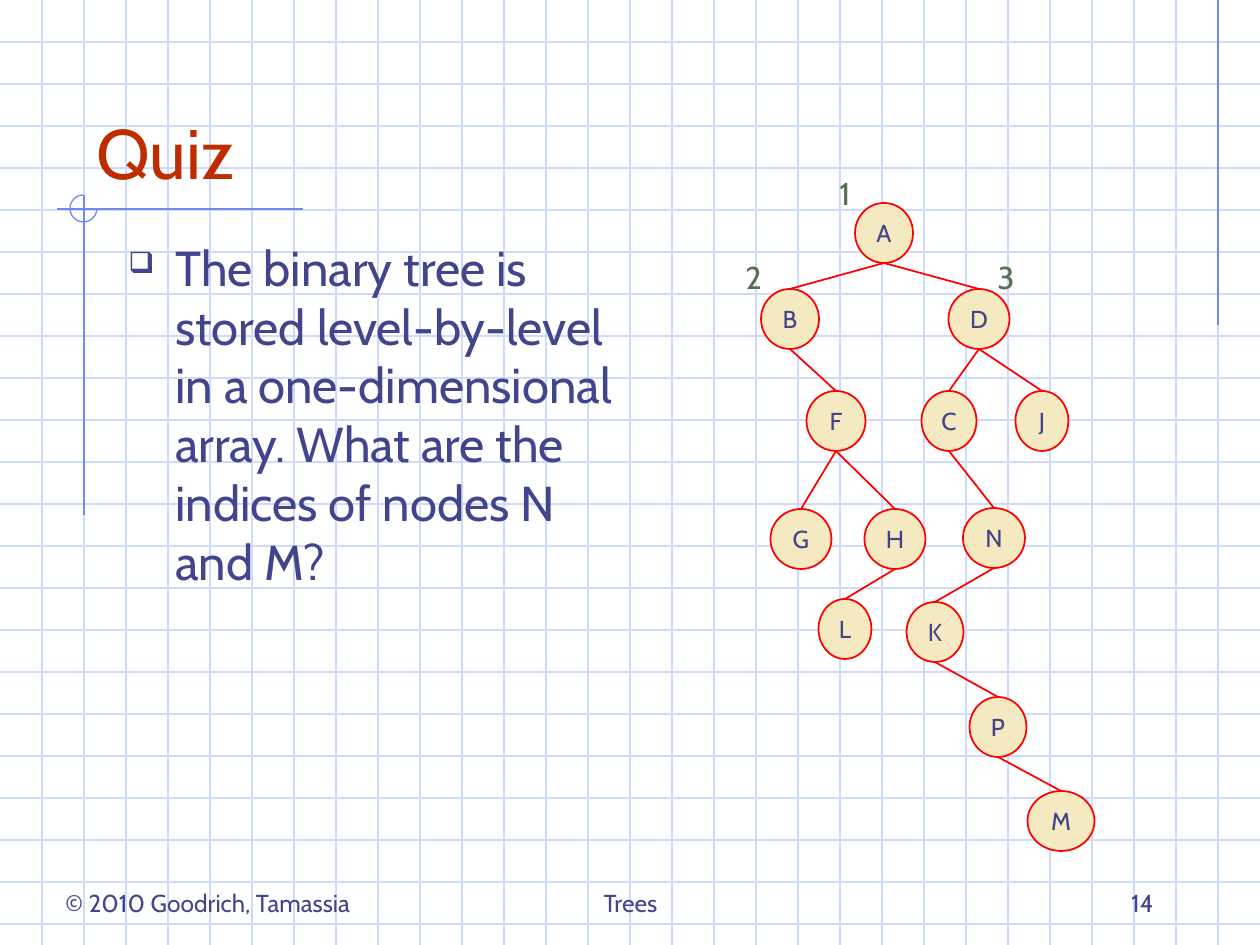
from lxml.etree import SubElement
from pptx import Presentation
from pptx.dml.color import RGBColor
from pptx.enum.shapes import MSO_CONNECTOR, MSO_SHAPE
from pptx.enum.text import MSO_ANCHOR, PP_ALIGN
from pptx.oxml.ns import qn
from pptx.util import Pt

SCALE = 914400 / 126
WIDTH, HEIGHT = 1260, 945
GRID_STEP = 42
NODE_HEIGHT = 60
FONT = "Cabin"

COLORS = {
    "grid": "CFDBFD",
    "accent": "6F89F7",
    "title": "BE2D00",
    "text": "40458C",
    "index": "577052",
    "node": "F4E9C1",
    "edge": "FF0000",
}

# letter: (centre x, top, width)
NODES = {
    "A": (884, 203, 58),
    "B": (790, 289, 58),
    "D": (979, 289, 61),
    "F": (836, 391, 59),
    "C": (949, 391, 55),
    "J": (1042, 391, 53),
    "G": (801, 509, 61),
    "H": (895, 509, 61),
    "N": (994, 508, 62),
    "L": (845, 599, 53),
    "K": (935, 602, 57),
    "P": (998, 697, 57),
    "M": (1061, 791, 67),
}
EDGES = ["AB", "AD", "BF", "DC", "DJ", "FG", "FH", "CN", "HL", "NK", "KP", "PM"]
INDEX_LABELS = [("1", 827, 168), ("2", 733, 252), ("3", 985, 252)]
FOOTERS = [
    ("© 2010 Goodrich, Tamassia", 53, 346, PP_ALIGN.LEFT),
    ("Trees", 431, 399, PP_ALIGN.CENTER),
    ("14", 903, 263, PP_ALIGN.RIGHT),
]


def px(*lengths):
    return [round(length * SCALE) for length in lengths]


def color(name):
    return RGBColor.from_string(COLORS[name])


def add_line(slide, start, end, line_color, weight=0.75):
    line = slide.shapes.add_connector(MSO_CONNECTOR.STRAIGHT, *px(*start, *end))
    line.line.color.rgb = color(line_color)
    line.line.width = Pt(weight)
    SubElement(line._element.spPr, qn("a:effectLst"))


def write(shape, text, size, text_color, align, anchor, wrap=True):
    frame = shape.text_frame
    frame.text = text
    frame.word_wrap = wrap
    frame.vertical_anchor = anchor
    para = frame.paragraphs[0]
    para.alignment = align
    font = para.runs[0].font
    font.name = FONT
    font.size = Pt(size)
    font.color.rgb = color(text_color)
    return para


def add_text(slide, text, area, size, text_color, align=PP_ALIGN.LEFT,
             anchor=MSO_ANCHOR.TOP, wrap=True):
    box = slide.shapes.add_textbox(*px(*area))
    return write(box, text, size, text_color, align, anchor, wrap)


def add_bullet(para, symbol, indent):
    """Give the paragraph a hanging bullet at 60 % of the text size."""
    properties = para._p.get_or_add_pPr()
    hang = px(indent)[0]
    properties.set("marL", str(hang))
    properties.set("indent", str(-hang))
    bullet_color = SubElement(properties, qn("a:buClr"))
    SubElement(bullet_color, qn("a:srgbClr"), val=COLORS["text"])
    SubElement(properties, qn("a:buSzPct"), val="60000")
    SubElement(properties, qn("a:buChar"), char=symbol)


def add_shape(slide, preset, area, line_color, weight):
    shape = slide.shapes.add_shape(preset, *px(*area))
    shape.shadow.inherit = False
    shape.fill.background()
    shape.line.color.rgb = color(line_color)
    shape.line.width = Pt(weight)
    return shape


def add_background(slide):
    for y in range(GRID_STEP, HEIGHT, GRID_STEP):
        add_line(slide, (0, y), (WIDTH, y), "grid")
    for x in range(GRID_STEP, WIDTH, GRID_STEP):
        add_line(slide, (x, 0), (x, HEIGHT), "grid")
    add_line(slide, (1218, 0), (1218, 325), "accent")
    add_line(slide, (303, 209), (57, 209), "accent")
    add_line(slide, (84, 195), (84, 515), "accent")
    arc = add_shape(slide, MSO_SHAPE.ARC, (70, 195, 27, 27), "accent", 0.75)
    # Three quarters of a turn; angles count in 60000ths of a degree.
    arc.adjustments[0] = 0
    arc.adjustments[1] = 270 * 60000 / 100000


def add_node(slide, letter):
    center, top, width = NODES[letter]
    area = (center - width / 2, top, width, NODE_HEIGHT)
    node = add_shape(slide, MSO_SHAPE.OVAL, area, "edge", 1)
    node.fill.solid()
    node.fill.fore_color.rgb = color("node")
    write(node, letter, 14, "text", PP_ALIGN.CENTER, MSO_ANCHOR.MIDDLE, wrap=False)


def add_edge(slide, parent, child):
    parent_x, parent_top, _ = NODES[parent]
    child_x, child_top, _ = NODES[child]
    start = (parent_x, parent_top + NODE_HEIGHT)
    add_line(slide, start, (child_x, child_top), "edge", 1)


def add_tree(slide):
    for text, left, top in INDEX_LABELS:
        add_text(slide, text, (left, top, 43, 50), 18, "index", wrap=False)
    for letter in NODES:
        add_node(slide, letter)
    for parent, child in EDGES:
        add_edge(slide, parent, child)


def main():
    deck = Presentation()
    deck.slide_width, deck.slide_height = px(WIDTH, HEIGHT)
    slide = deck.slides.add_slide(deck.slide_layouts[6])

    add_background(slide)
    add_text(slide, "Quiz", (84, 42, 1071, 158), 40, "title",
             anchor=MSO_ANCHOR.BOTTOM)
    question = add_text(
        slide,
        "The binary tree is stored level-by-level in a one-dimensional array. "
        "What are the indices of nodes N and M?",
        (116, 231, 525, 599), 28, "text")
    add_bullet(question, "❑", 47)
    for text, left, width, align in FOOTERS:
        add_text(slide, text, (left, 861, width, 63), 14, "text", align,
                 MSO_ANCHOR.BOTTOM)
    add_tree(slide)

    deck.save("out.pptx")


if __name__ == "__main__":
    main()
